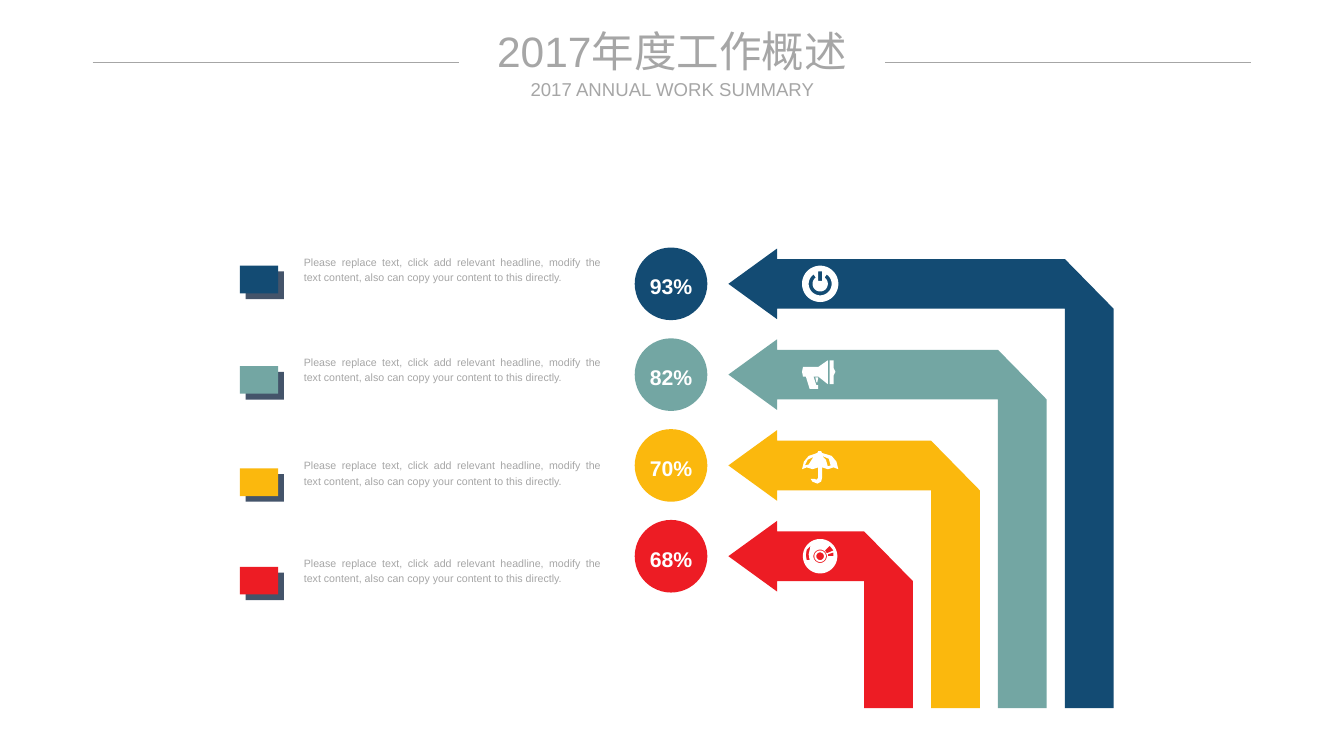
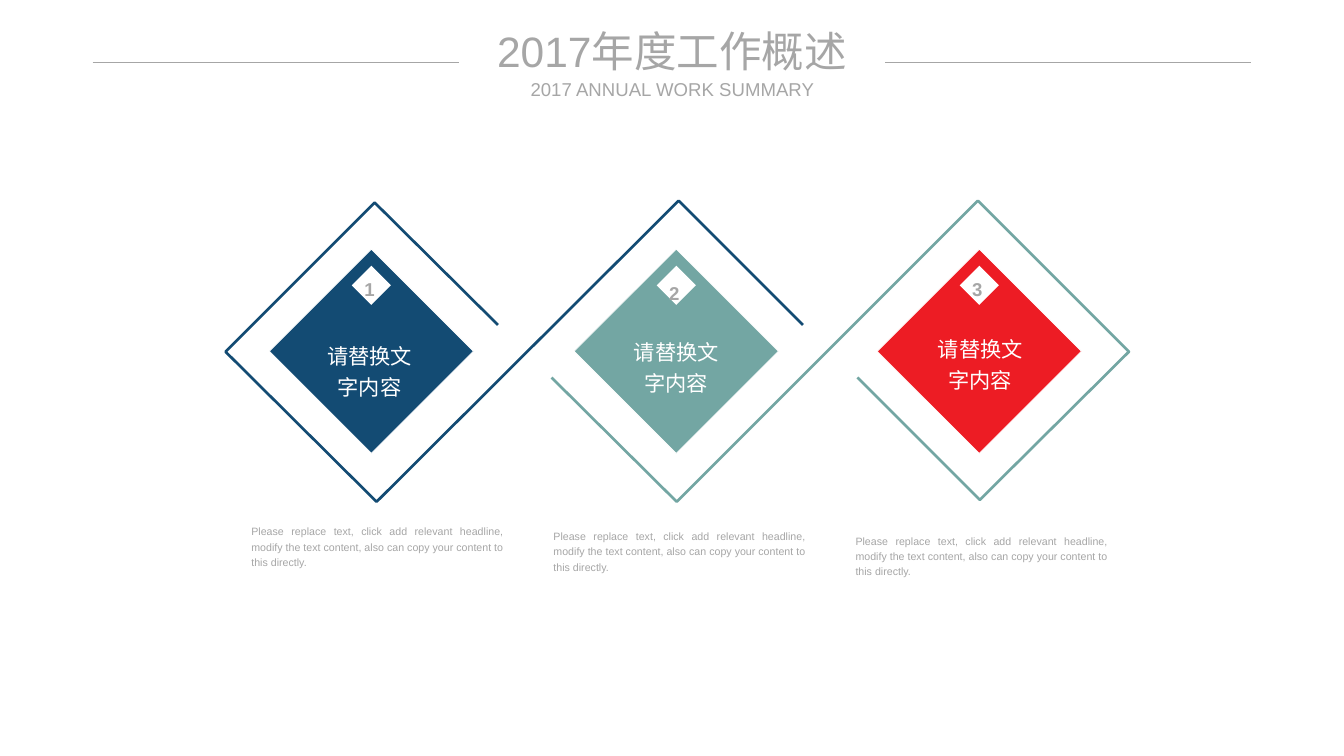
from dataclasses import dataclass
from math import cos, radians, sin

from lxml import etree
from pptx import Presentation
from pptx import util as u
from pptx.dml.color import RGBColor
from pptx.enum import shapes, text
from pptx.oxml.ns import qn

Point = tuple[float, float]
Contour = list[Point]

NAVY, TEAL, YELLOW, RED = "134B73", "73A6A3", "FBB80D", "ED1C24"
SLATE, GREY, WHITE = "44546A", "A6A6A6", "FFFFFF"
FONT = "Arial"
BODY = ("Please replace text, click add relevant headline, modify the text "
        "content, also can copy your content to this directly.")
ALIGN = text.PP_ALIGN
ANCHOR = text.MSO_ANCHOR
RECTANGLE = shapes.MSO_SHAPE.RECTANGLE
OVAL = shapes.MSO_SHAPE.OVAL


@dataclass
class Box:
    left: float
    top: float
    width: float
    height: float

    def lengths(self) -> list[u.Length]:
        return [u.Inches(v) for v in (self.left, self.top, self.width, self.height)]


@dataclass
class Style:
    size: float
    color: str
    bold: bool = False
    align: ALIGN = ALIGN.CENTER
    spacing: float = 1.2
    anchor: ANCHOR = ANCHOR.TOP
    inset: Point = (0, 0)
    wrap: bool = True


@dataclass
class Arrow:
    color: str
    percent: str
    swatch_top: float
    note_top: float
    icon: list[Contour]


@dataclass
class Step:
    number: str
    color: str
    left: float
    number_top: float
    label_left: float
    label_top: float
    note_top: float


TITLE = Style(32, GREY, spacing=1, anchor=ANCHOR.MIDDLE)
SUBTITLE = Style(14, GREY, spacing=1, anchor=ANCHOR.MIDDLE)
NOTE = Style(8, GREY, align=ALIGN.JUSTIFY)
INSET_NOTE = Style(8, GREY, align=ALIGN.JUSTIFY, inset=(0.1, 0.05))
PERCENT = Style(16, WHITE, bold=True, anchor=ANCHOR.MIDDLE, wrap=False)
NUMBER = Style(14, GREY, bold=True, wrap=False)
LABEL = Style(16, WHITE)


def rgb(color: str) -> RGBColor:
    return RGBColor.from_string(color)


def write(shape, words: str, style: Style) -> None:
    frame = shape.text_frame
    frame.auto_size = text.MSO_AUTO_SIZE.NONE
    frame.word_wrap = style.wrap
    frame.vertical_anchor = style.anchor
    frame.margin_left = frame.margin_right = u.Inches(style.inset[0])
    frame.margin_top = frame.margin_bottom = u.Inches(style.inset[1])
    para = frame.paragraphs[0]
    para.alignment = style.align
    para.line_spacing = style.spacing
    span = para.add_run()
    span.text = words
    span.font.name = FONT
    span.font.size = u.Pt(style.size)
    span.font.bold = style.bold
    span.font.color.rgb = rgb(style.color)


def add_text(page, box: Box, words: str, style: Style) -> None:
    write(page.shapes.add_textbox(*box.lengths()), words, style)


def paint(shape, fill: str | None, line: str | None = None, weight: float = 0) -> None:
    shape.shadow.inherit = False
    if fill:
        shape.fill.solid()
        shape.fill.fore_color.rgb = rgb(fill)
    else:
        shape.fill.background()
    if line:
        shape.line.color.rgb = rgb(line)
        shape.line.width = u.Pt(weight)
    else:
        shape.line.fill.background()


def add_preset(page, kind, box: Box, fill: str, line: str | None = None,
               weight: float = 0, rotation: float = 0):
    shape = page.shapes.add_shape(kind, *box.lengths())
    shape.rotation = rotation
    paint(shape, fill, line, weight)
    return shape


def add_outline(page, contours: list[Contour], closed: bool = True):
    """Draw one freeform; a contour inside another one becomes a hole."""
    scaled = [[(u.Inches(x), u.Inches(y)) for x, y in c] for c in contours]
    builder = page.shapes.build_freeform(*scaled[0][0], scale=1.0)
    builder.add_line_segments(scaled[0][1:], close=closed)
    for contour in scaled[1:]:
        builder.move_to(*contour[0])
        builder.add_line_segments(contour[1:], close=closed)
    return builder.convert_to_shape()


def add_rule(page, left: float, right: float, y: float) -> None:
    rule = page.shapes.add_connector(
        shapes.MSO_CONNECTOR.STRAIGHT,
        u.Inches(left), u.Inches(y), u.Inches(right), u.Inches(y))
    rule.line.color.rgb = rgb(GREY)
    rule.line.width = u.Pt(0.5)
    etree.SubElement(rule._element.spPr, qn("a:effectLst"))


def add_page(deck):
    """Add a slide with the shared title, subtitle and side rules."""
    page = deck.slides.add_slide(deck.slide_layouts[5])
    title = page.shapes.title
    title.left, title.top, title.width, title.height = Box(4.87, 0.26, 4.32, 0.54).lengths()
    write(title, "2017年度工作概述", TITLE)
    add_text(page, Box(5.5, 0.81, 3.07, 0.24), "2017 ANNUAL WORK SUMMARY", SUBTITLE)
    for left in (0.97, 9.26):
        add_rule(page, left, left + 3.83, 0.65)
    return page


def arc(radius: float, start: int = 0, end: int = 360) -> Contour:
    """Points round the origin, in degrees clockwise from the right."""
    step = 5 if end > start else -5
    return [(radius * cos(radians(a)), radius * sin(radians(a)))
            for a in range(start, end + step, step)]


# Icon contours are offsets from the icon's centre, in inches.
POWER = [
    arc(0.19),
    [(-0.02, -0.13), (-0.02, -0.03), (0.02, -0.03), (0.02, -0.13)],
    arc(0.12, -55, 235) + arc(0.08, 235, -55),
]
MEGAPHONE = [
    [(-0.18, -0.08), (-0.02, -0.08), (0.08, -0.15), (0.08, 0.1), (-0.02, 0.02),
     (-0.07, 0.02), (-0.04, 0.11), (-0.02, 0.11), (-0.02, 0.15), (-0.11, 0.15),
     (-0.15, 0.02), (-0.18, 0.02), (-0.19, -0.03)],
    [(0.1, -0.15), (0.14, -0.15), (0.14, -0.07), (0.16, -0.03), (0.14, 0.01),
     (0.14, 0.1), (0.1, 0.1)],
    [(-0.05, 0.03), (-0.02, 0.03), (-0.03, 0.08), (-0.04, 0.08)],
]
UMBRELLA = [
    [(-0.19, 0.04), (-0.17, -0.04), (-0.12, -0.1), (-0.03, -0.13), (-0.02, -0.15),
     (0.01, -0.15), (0.02, -0.13), (0.12, -0.1), (0.17, -0.04), (0.19, 0.04),
     (0.14, 0.02), (0.08, 0.04), (0.02, 0.02), (0.02, 0.13), (0.01, 0.17),
     (-0.03, 0.19), (-0.08, 0.17), (-0.1, 0.14), (-0.06, 0.14), (-0.04, 0.15),
     (-0.02, 0.13), (-0.02, 0.02), (-0.08, 0.04), (-0.14, 0.02)],
    [(0.08, 0.01), (0.11, 0), (0.09, -0.07), (0.02, -0.1), (0.06, -0.06)],
    [(-0.16, 0), (-0.12, -0.01), (-0.07, -0.09), (-0.13, -0.06)],
]
DISC = [
    arc(0.18), arc(0.07), arc(0.06), arc(0.04),
    [(-0.1, -0.11), (-0.14, -0.07), (-0.15, -0.01), (-0.14, 0.04), (-0.11, 0.04),
     (-0.12, -0.02)],
    [(0.05, -0.06), (0.1, -0.11), (0.14, -0.06), (0.07, -0.03)],
    [(0.08, -0.02), (0.14, -0.04), (0.14, 0), (0.08, 0)],
]

ARROWS = [
    Arrow(NAVY, "93%", 2.78, 2.6, POWER),
    Arrow(TEAL, "82%", 3.83, 3.65, MEGAPHONE),
    Arrow(YELLOW, "70%", 4.9, 4.73, UMBRELLA),
    Arrow(RED, "68%", 5.93, 5.75, DISC),
]

STEPS = [
    Step("1", NAVY, 3.13, 2.86, 3.37, 3.54, 5.47),
    Step("2", TEAL, 6.32, 2.9, 6.58, 3.5, 5.52),
    Step("3", RED, 9.49, 2.86, 9.76, 3.47, 5.57),
]

FRAMES = {
    NAVY: [(8.4, 3.4), (7.1, 2.1), (3.94, 5.25), (2.36, 3.68), (3.92, 2.12), (5.21, 3.4)],
    TEAL: [(5.77, 3.95), (7.08, 5.25), (10.23, 2.1), (11.81, 3.68), (10.25, 5.23),
           (8.97, 3.95)],
}


def bent_arrow(middle: float, inner: float) -> Contour:
    """Left-pointing arrow whose shaft turns down at x = inner."""
    tip, neck, bottom = 7.62, 8.13, 7.41
    half_head, half_shaft, thickness = 0.37, 0.26, 0.51
    upper, lower = middle - half_shaft, middle + half_shaft
    outer = inner + thickness
    return [(tip, middle), (neck, middle - half_head), (neck, upper), (inner, upper),
            (outer, lower), (outer, bottom), (inner, bottom), (inner, lower),
            (neck, lower), (neck, middle + half_head)]


def build_arrows_page(deck) -> None:
    page = add_page(deck)
    circle, icon_x = 0.76, 8.58
    for index, arrow in enumerate(ARROWS):
        middle = 2.97 + 0.95 * index
        badge = add_preset(page, OVAL, Box(6.64, middle - circle / 2, circle, circle),
                           arrow.color)
        write(badge, arrow.percent, PERCENT)
        paint(add_outline(page, [bent_arrow(middle, 11.14 - 0.7 * index)]), arrow.color)
        icon = [[(icon_x + x, middle + y) for x, y in c] for c in arrow.icon]
        paint(add_outline(page, icon), WHITE)
        for shift, color in ((0.06, SLATE), (0, arrow.color)):
            add_preset(page, RECTANGLE,
                       Box(2.51 + shift, arrow.swatch_top + shift, 0.4, 0.29), color)
        add_text(page, Box(3.08, arrow.note_top, 3.31, 0.41), BODY, INSET_NOTE)


def build_steps_page(deck) -> None:
    page = add_page(deck)
    for color, points in FRAMES.items():
        paint(add_outline(page, [points], closed=False), None, color, 2)
    for index, step in enumerate(STEPS):
        add_preset(page, RECTANGLE, Box(step.left, 2.92, 1.51, 1.51), step.color,
                   WHITE, 0.5, rotation=315)
        add_preset(page, RECTANGLE, Box(step.left + 0.61, 2.84, 0.29, 0.29), WHITE,
                   rotation=315)
        add_text(page, Box(step.left + 0.68, step.number_top, 0.11, 0.26),
                 step.number, NUMBER)
        add_text(page, Box(step.label_left, step.label_top, 0.99, 0.62),
                 "请替换文字内容", LABEL)
        add_text(page, Box(2.63 + 3.16 * index, step.note_top, 2.64, 0.47), BODY, NOTE)


def main() -> None:
    deck = Presentation()
    deck.slide_width, deck.slide_height = u.Inches(14.06), u.Inches(7.91)
    build_arrows_page(deck)
    build_steps_page(deck)
    deck.save("out.pptx")


if __name__ == "__main__":
    main()
